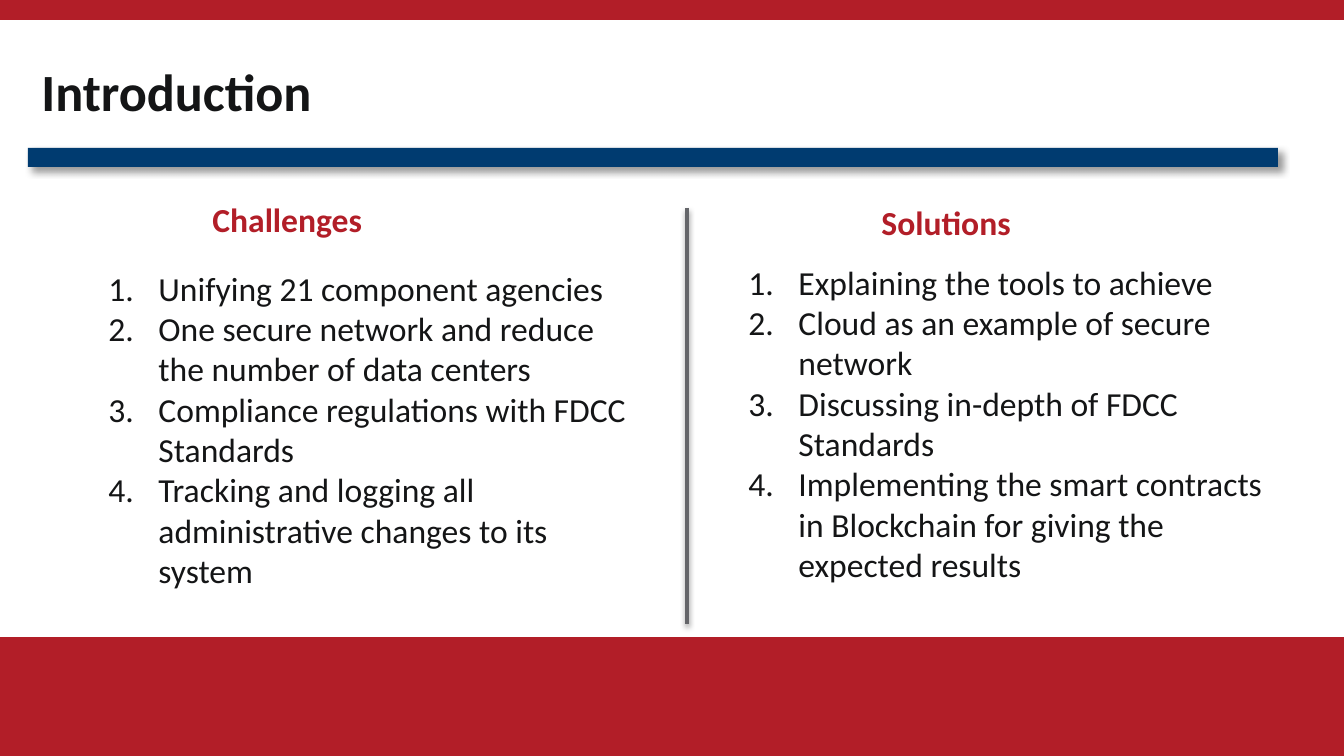
from lxml import etree
from pptx import Presentation
from pptx.dml.color import RGBColor
from pptx.enum.shapes import MSO_CONNECTOR, MSO_SHAPE
from pptx.enum.text import MSO_ANCHOR, MSO_AUTO_SIZE, PP_ALIGN
from pptx.oxml.ns import qn
from pptx.util import Pt

RECT, LINE = MSO_SHAPE.RECTANGLE, MSO_CONNECTOR.STRAIGHT
TOP, LEFT, FIXED = MSO_ANCHOR.TOP, PP_ALIGN.LEFT, MSO_AUTO_SIZE.NONE
COMPARE = 4  # layout with a title, two headings and two lists
WIDE, HIGH = 1344, 756
EMU = 9144000 / WIDE
INDENT = 50
COLORS = {"red": "B21E28", "blue": "003B70", "gray": "646569",
          "ink": "141516", "black": "000000"}

TITLE = "Introduction"
COLUMNS = [
    {"head": "Challenges", "head_at": (199, 192), "list_at": (95, 261),
     "items": ["Unifying 21 component agencies",
               "One secure network and reduce the number of data centers",
               "Compliance regulations with FDCC Standards",
               "Tracking and logging all administrative changes to its system"]},
    {"head": "Solutions", "head_at": (868, 195), "list_at": (735, 255),
     "items": ["Explaining the tools to achieve",
               "Cloud as an example of secure network",
               "Discussing in-depth of FDCC Standards",
               "Implementing the smart contracts in Blockchain for giving "
               "the expected results"]},
]
HEAD_SIZE, LIST_SIZE = (184, 54), (547, 339)
BARS = [("red", (0, 637, WIDE, 119)), ("red", (0, -1, WIDE, 21))]
RULE = (28, 148, 1250, 19)
SPLIT = (687, 208, 687, 624)


def px(n):
    return round(n * EMU)


def rgb(name):
    return RGBColor.from_string(COLORS[name])


def bar(color, box):
    shape = slide.shapes.add_shape(RECT, *map(px, box))
    shape.shadow.inherit = False
    shape.fill.solid()
    shape.fill.fore_color.rgb = rgb(color)
    shape.line.fill.background()
    return shape


def shade(shape, alpha, blur, dist, angle):
    """Give the shape an outer shadow: percent, points, points, degrees."""
    props = shape._element.spPr
    effects = props.find(qn("a:effectLst"))
    if effects is None:
        effects = etree.SubElement(props, qn("a:effectLst"))
    outer = etree.SubElement(effects, qn("a:outerShdw"), blurRad=str(Pt(blur)),
                             dist=str(Pt(dist)), dir=str(angle * 60000),
                             algn="ctr", rotWithShape="0")
    tint = etree.SubElement(outer, qn("a:srgbClr"), val=COLORS["black"])
    etree.SubElement(tint, qn("a:alpha"), val=str(alpha * 1000))


def number(para):
    props = para._p.get_or_add_pPr()
    props.set("marL", str(px(INDENT)))
    props.set("indent", str(-px(INDENT)))
    etree.SubElement(props, qn("a:buFont"), typeface="+mj-lt")
    etree.SubElement(props, qn("a:buAutoNum"), type="arabicPeriod")


def write(holder, box, lines, size, color, bold=False, numbered=False):
    holder.left, holder.top, holder.width, holder.height = map(px, box)
    frame = holder.text_frame
    frame.text = "\n".join(lines)
    frame.word_wrap, frame.auto_size = True, FIXED
    frame.vertical_anchor = TOP
    for para in frame.paragraphs:
        para.alignment = LEFT
        para.space_before = Pt(0)
        if numbered:
            number(para)
        font = para.font
        font.name, font.size, font.bold = "Calibri", Pt(size), bold
        font.color.rgb = rgb(color)


deck = Presentation()
deck.slide_width, deck.slide_height = px(WIDE), px(HIGH)
slide = deck.slides.add_slide(deck.slide_layouts[COMPARE])
title, *bodies = slide.placeholders

write(title, (28, 52, 1278, 77), [TITLE], 28, "ink", bold=True)
for col, head, body in zip(COLUMNS, bodies[::2], bodies[1::2]):
    write(head, col["head_at"] + HEAD_SIZE, [col["head"]], 18, "red", bold=True)
    write(body, col["list_at"] + LIST_SIZE, col["items"], 18, "ink",
          numbered=True)

for color, box in BARS:
    bar(color, box)
shade(bar("blue", RULE), 40, 4, 3, 45)

split = slide.shapes.add_connector(LINE, *map(px, SPLIT))
split.line.color.rgb = rgb("gray")
split.line.width = Pt(2)
shade(split, 38, 3.1, 1.6, 90)

deck.save("out.pptx")
